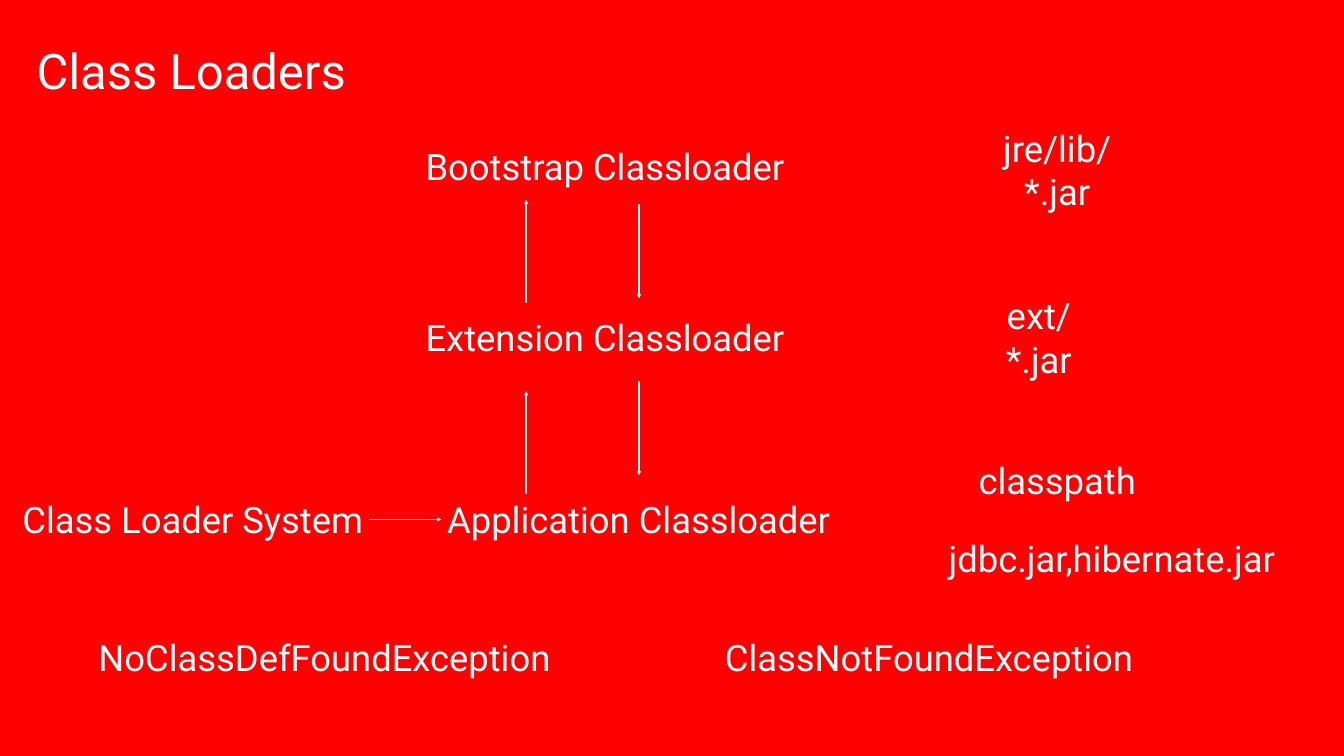
"""Build the class loader delegation slide."""
from dataclasses import dataclass

from lxml.etree import SubElement
from pptx import Presentation
from pptx.dml.color import RGBColor
from pptx.enum.shapes import MSO_CONNECTOR
from pptx.enum.text import MSO_ANCHOR, MSO_AUTO_SIZE, PP_ALIGN
from pptx.oxml.ns import qn
from pptx.shapes.autoshape import Shape
from pptx.shapes.connector import Connector
from pptx.slide import Slide
from pptx.util import Inches, Length, Pt


@dataclass(frozen=True)
class Theme:
    """Colours, type sizes and line settings of the slide."""
    background: RGBColor = RGBColor(0xFF, 0x00, 0x00)
    foreground: RGBColor = RGBColor(0xFF, 0xFF, 0xFF)
    font: str = "Roboto"
    title_size: int = 70
    label_size: int = 52
    line_width: int = 2
    inset: float = 0.06


@dataclass(frozen=True)
class Grid:
    """Slide grid of square cells."""
    columns: float = 26.67
    rows: float = 15
    cell: float = 1

    def length(self, cells: float) -> Length:
        """Return the length of a number of cells."""
        return Inches(cells * self.cell)


@dataclass(frozen=True)
class Label:
    """Text with its grid position and width."""
    text: str
    column: float
    row: float
    width: float
    height: float = 0.97
    size: int = Theme.label_size


@dataclass(frozen=True)
class VerticalArrow:
    """Arrow along one grid column."""
    column: float
    start_row: float
    end_row: float


THEME = Theme()
GRID = Grid()
LOADER_COLUMN, LOADER_WIDTH = 8.35, 7.31
BOOTSTRAP_ROW, EXTENSION_ROW, APPLICATION_ROW, EXCEPTION_ROW = 2.8, 6.2, 9.82, 12.55
PARENT_COLUMN, CHILD_COLUMN = 10.44, 12.68
PARENT_LENGTH, CHILD_LENGTH = 2.05, 1.87

SYSTEM = Label("Class Loader System", 0.33, APPLICATION_ROW, 6.99)
APPLICATION = Label("Application Classloader", 8.76, APPLICATION_ROW, 7.83)
LABELS = (
    Label("Class Loaders", 0.6, 0.74, 6.39, 1.28, THEME.title_size),
    Label("Bootstrap Classloader", LOADER_COLUMN, BOOTSTRAP_ROW, LOADER_WIDTH),
    Label("Extension Classloader", LOADER_COLUMN, EXTENSION_ROW, LOADER_WIDTH),
    Label("jre/lib/*.jar", 19.3, 2.88, 3.36),
    Label("ext/*.jar", 19.33, EXTENSION_ROW, 2.57),
    Label("classpath", 19.35, 9.04, 3.26),
    Label("jdbc.jar,hibernate.jar", 18.68, 10.59, 6.77),
    Label("NoClassDefFoundException", 1.82, EXCEPTION_ROW, 9.24),
    Label("ClassNotFoundException", 14.28, EXCEPTION_ROW, 8.31),
)
ARROWS = (
    *(VerticalArrow(PARENT_COLUMN, row, row - PARENT_LENGTH) for row in (9.81, 6.01)),
    *(VerticalArrow(CHILD_COLUMN, row, row + CHILD_LENGTH) for row in (4.05, 7.56)),
)


def draw_label(slide: Slide, label: Label) -> Shape:
    """Draw one centred, unwrapped label."""
    cells = (label.column, label.row, label.width, label.height)
    shape = slide.shapes.add_textbox(*map(GRID.length, cells))
    frame = shape.text_frame
    frame.text = label.text
    frame.word_wrap = False
    frame.auto_size = MSO_AUTO_SIZE.SHAPE_TO_FIT_TEXT
    frame.vertical_anchor = MSO_ANCHOR.MIDDLE
    frame.margin_left = frame.margin_right = Inches(THEME.inset)
    frame.margin_top = frame.margin_bottom = Inches(THEME.inset)
    paragraph = frame.paragraphs[0]
    paragraph.alignment = PP_ALIGN.CENTER
    font = paragraph.runs[0].font
    font.name = THEME.font
    font.size = Pt(label.size)
    font.color.rgb = THEME.foreground
    return shape


def draw_arrow(slide: Slide, column: float, start_row: float, end_row: float) -> Connector:
    """Draw a straight line with a triangle at its end."""
    cells = (column, start_row, column, end_row)
    connector = slide.shapes.add_connector(MSO_CONNECTOR.STRAIGHT, *map(GRID.length, cells))
    connector.line.color.rgb = THEME.foreground
    connector.line.width = Pt(THEME.line_width)
    SubElement(connector.line._get_or_add_ln(), qn("a:tailEnd"), type="triangle")
    SubElement(connector._element.spPr, qn("a:effectLst"))
    return connector


def main() -> None:
    """Build and save the presentation."""
    presentation = Presentation()
    presentation.slide_width = GRID.length(GRID.columns)
    presentation.slide_height = GRID.length(GRID.rows)
    slide = presentation.slides.add_slide(presentation.slide_layouts[6])
    slide.background.fill.solid()
    slide.background.fill.fore_color.rgb = THEME.background
    for label in LABELS:
        draw_label(slide, label)
    for arrow in ARROWS:
        draw_arrow(slide, arrow.column, arrow.start_row, arrow.end_row)
    system = draw_label(slide, SYSTEM)
    application = draw_label(slide, APPLICATION)
    request = draw_arrow(slide, SYSTEM.column, SYSTEM.row, SYSTEM.row)
    request.begin_connect(system, 3)
    request.end_connect(application, 1)
    presentation.save("out.pptx")


if __name__ == "__main__":
    main()
